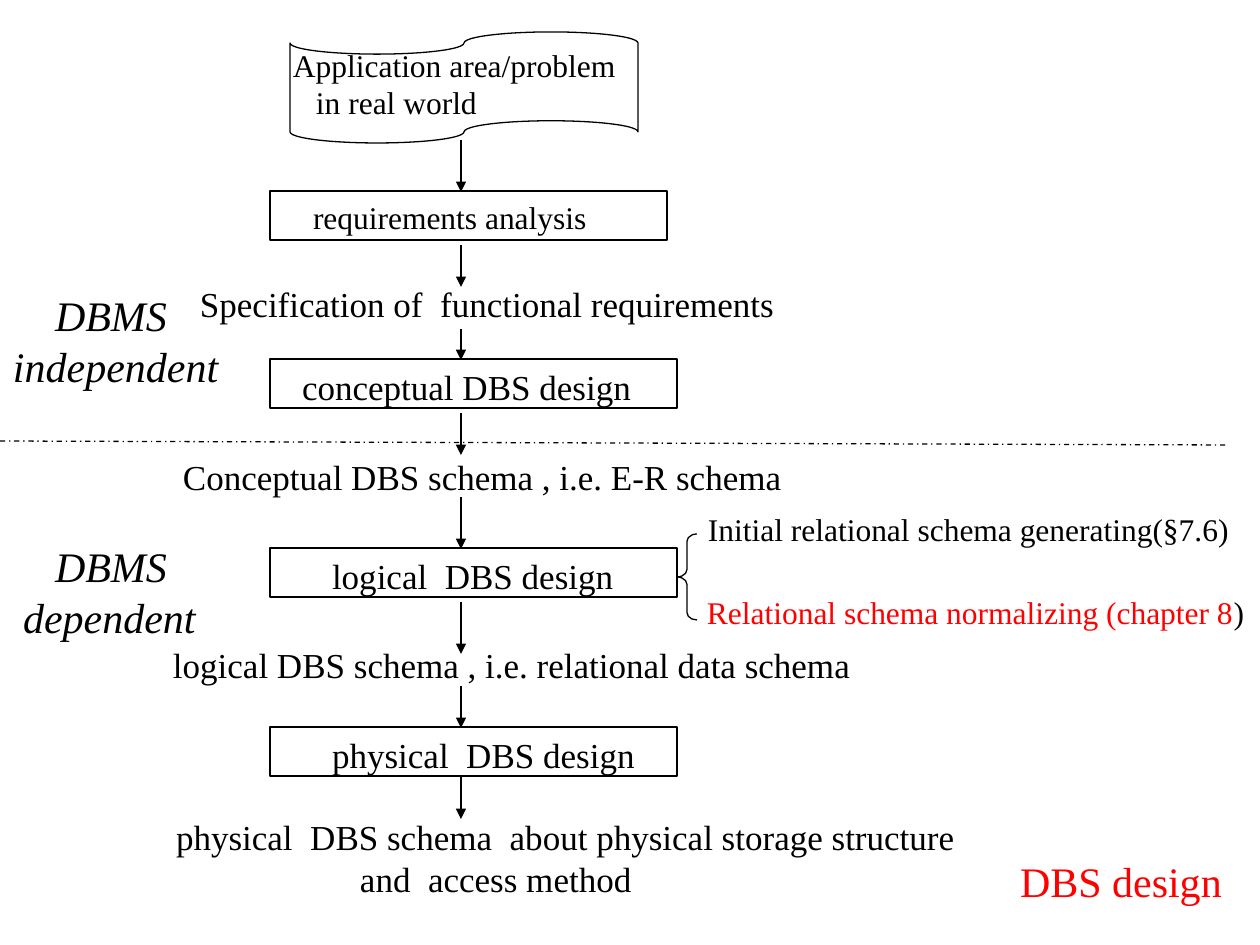
"""Builds the DBS design flow slide."""
from dataclasses import dataclass

from lxml import etree
from pptx import Presentation
from pptx import util as u
from pptx.dml.color import RGBColor
from pptx.enum import dml, shapes, text
from pptx.oxml.ns import qn

PX = u.Inches(1) / 126


def px(length):
    return u.Emu(round(length * PX))


@dataclass(frozen=True)
class Theme:
    font: str = "Times New Roman"
    ink: RGBColor = RGBColor(0, 0, 0)
    accent: RGBColor = RGBColor(255, 0, 0)
    small: int = 18
    normal: int = 20
    large: int = 24
    line: float = 0.75


class Board:
    def __init__(self, slide, theme):
        self.slide = slide
        self.theme = theme

    def add_words(self, paragraph, wording, size, color=None, italic=False):
        run = paragraph.add_run()
        run.text = wording
        style = {"name": self.theme.font, "size": u.Pt(size), "italic": italic}
        for key, value in style.items():
            setattr(run.font, key, value)
        run.font.color.rgb = color or self.theme.ink

    def set_lines(self, frame, lines, size, insets=(13, 6, 13, 6),
                  anchor=text.MSO_ANCHOR.TOP, **look):
        """Each line is a pair of wording and left indent."""
        left, top, right, bottom = map(px, insets)
        layout = {"margin_left": left, "margin_top": top,
                  "margin_right": right, "margin_bottom": bottom,
                  "word_wrap": True, "auto_size": text.MSO_AUTO_SIZE.NONE,
                  "vertical_anchor": anchor}
        for key, value in layout.items():
            setattr(frame, key, value)
        for index, (wording, indent) in enumerate(lines):
            paragraph = frame.add_paragraph() if index else frame.paragraphs[0]
            paragraph.alignment = text.PP_ALIGN.LEFT
            if indent:
                paragraph._p.get_or_add_pPr().set("marL", str(px(indent)))
            self.add_words(paragraph, wording, size, **look)
        return frame

    def label(self, place, lines, size, **look):
        box = self.slide.shapes.add_textbox(*map(px, place))
        return self.set_lines(box.text_frame, lines, size, **look)

    def title(self, place, wording):
        heading = self.slide.shapes.title
        for key, value in zip(("left", "top", "width", "height"), place):
            setattr(heading, key, px(value))
        self.set_lines(heading.text_frame, [(wording, 0)], self.theme.large,
                       color=self.theme.accent)

    def outline(self, kind, place):
        shape = self.slide.shapes.add_shape(kind, *map(px, place))
        shape.shadow.inherit = False
        shape.fill.background()
        shape.line.color.rgb = self.theme.ink
        shape.line.width = u.Pt(self.theme.line)
        return shape

    def line(self, start, end, dash=None, arrow=False):
        connector = self.slide.shapes.add_connector(
            shapes.MSO_CONNECTOR.STRAIGHT, *map(px, start + end))
        connector.line.color.rgb = self.theme.ink
        connector.line.width = u.Pt(self.theme.line)
        if dash:
            connector.line.dash_style = dash
        if arrow:
            stroke = connector._element.spPr.find(qn("a:ln"))
            etree.SubElement(stroke, qn("a:tailEnd"), type="triangle")
        etree.SubElement(connector._element.spPr, qn("a:effectLst"))


def main():
    deck = Presentation()
    deck.slide_width, deck.slide_height = px(1260), px(945)
    theme = Theme()
    board = Board(deck.slides.add_slide(deck.slide_layouts[5]), theme)
    kinds = shapes.MSO_SHAPE

    problem = board.outline(kinds.FLOWCHART_PUNCHED_TAPE, (290, 32, 348, 111))
    board.set_lines(problem.text_frame,
                    [("Application area/problem", 0), ("in real world", 23)],
                    theme.small, insets=(3, 0, 0, 8),
                    anchor=text.MSO_ANCHOR.MIDDLE)

    steps = [("requirements analysis", 191, 397, 43, theme.small),
             ("conceptual DBS design", 359, 407, 32, theme.normal),
             ("logical  DBS design", 548, 407, 62, theme.normal),
             ("physical  DBS design", 727, 407, 62, theme.normal)]
    for wording, top, width, inset, size in steps:
        step = board.outline(kinds.RECTANGLE, (270, top, width, 49))
        board.set_lines(step.text_frame, [(wording, 0)], size,
                        insets=(inset, 7, 0, 0))

    results = [
        ((187, 276, 606, 55),
         [("Specification of  functional requirements", 0)]),
        ((170, 449, 630, 55),
         [("Conceptual DBS schema , i.e. E-R schema", 0)]),
        ((160, 637, 709, 55),
         [("logical DBS schema , i.e. relational data schema", 0)]),
        ((163, 809, 811, 97),
         [("physical  DBS schema  about physical storage structure", 0),
          ("and  access method", 184)])]
    for place, lines in results:
        board.label(place, lines, theme.normal)

    for top, wording, indent in ((284, "independent", 0), (535, "dependent", 10)):
        board.label((0, top, 236, 113), [("DBMS", 42), (wording, indent)],
                    theme.large, italic=True)
    board.line((0, 441), (1227, 445), dash=dml.MSO_LINE.DASH_DOT)

    brace = board.outline(kinds.LEFT_BRACE, (677, 534, 20, 86))
    brace.adjustments[0] = 0.37
    board.label((695, 504, 560, 50),
                [("Initial relational schema generating(§7.6)", 0)], theme.small)
    normalizing = board.label(
        (694, 587, 566, 50), [("Relational schema normalizing (chapter 8", 0)],
        theme.small, color=theme.accent)
    board.add_words(normalizing.paragraphs[0], ")", theme.small)

    flow = ((140, 192), (245, 287), (329, 360), (413, 455), (497, 549),
            (602, 654), (686, 728), (777, 819))
    for top, bottom in flow:
        board.line((461, top), (461, bottom), arrow=True)

    board.title((1007, 849, 235, 63), "DBS design")
    deck.save("out.pptx")


if __name__ == "__main__":
    main()
